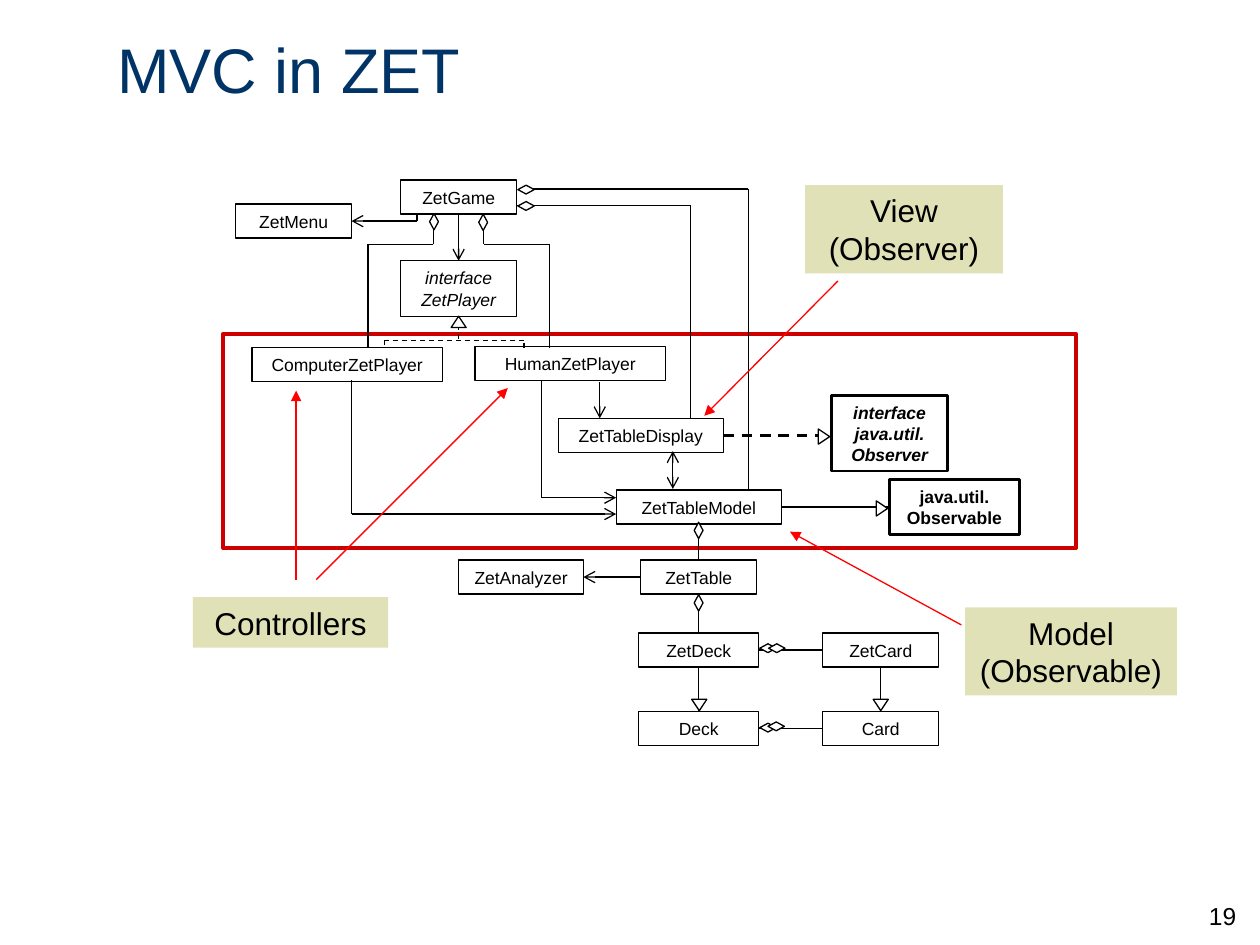
from pptx import Presentation
from pptx.dml.color import RGBColor
from pptx.enum.dml import MSO_LINE
from pptx.enum.shapes import MSO_CONNECTOR, MSO_SHAPE
from pptx.enum.text import MSO_ANCHOR, PP_ALIGN
from pptx.oxml.ns import qn
from pptx.util import Inches, Pt
from lxml import etree

STRAIGHT = MSO_CONNECTOR.STRAIGHT
RECTANGLE, DIAMOND, TRIANGLE = MSO_SHAPE.RECTANGLE, MSO_SHAPE.DIAMOND, MSO_SHAPE.ISOSCELES_TRIANGLE
LEFT, CENTER, RIGHT = PP_ALIGN.LEFT, PP_ALIGN.CENTER, PP_ALIGN.RIGHT
TOP, MIDDLE = MSO_ANCHOR.TOP, MSO_ANCHOR.MIDDLE
DASH = MSO_LINE.DASH
# Connection sites of a rectangle
UP, WEST, DOWN, EAST = range(4)

# The page is a grid of 1000 columns by 750 rows; boxes are (column, row, columns, rows).
COLUMNS, ROWS = 1000, 750
BLACK, WHITE, NAVY = "000000", "FFFFFF", "003366"
CRIMSON, RED, SAND = "CC0000", "FF0000", "E1E1B7"

# Class boxes, counted from the corner of the diagram
CLASSES = {
    "ZetGame": (141, 0, 92, 27),
    "ZetMenu": (10, 19, 92, 27),
    "ZetPlayer": (141, 64, 92, 44),
    "ComputerZetPlayer": (23, 133, 151, 27),
    "HumanZetPlayer": (200, 132, 151, 27),
    "ZetTableDisplay": (266, 189, 131, 27),
    "ZetTableModel": (312, 246, 131, 27),
    "ZetTable": (331.5, 301.5, 92, 27),
    "ZetAnalyzer": (187, 301.5, 99, 27),
    "ZetDeck": (330, 359.5, 95, 27),
    "ZetCard": (476, 359.5, 92, 27),
    "Deck": (330, 421.5, 95, 27),
    "Card": (476, 421.5, 92, 27),
    "Observer": (483, 171, 92, 60),
    "Observable": (529, 237.5, 103, 44),
}
# Names that need more than one line or a special style
LABELS = {
    "ZetPlayer": ("interface\nZetPlayer", {"italic": True}),
    "Observer": ("interface\njava.util.\nObserver", {"italic": True, "bold": True}),
    "Observable": ("java.util.\nObservable", {"bold": True}),
}
# Each route is a list of points; a point is (column, row) or (class, side).
ROUTES = [
    ([(154, 27), (154, 32.5), ("ZetMenu", EAST)], {"tail": "arrow"}),
    ([("ZetGame", DOWN), ("ZetPlayer", UP)], {"tail": "arrow"}),
    ([("ZetPlayer", DOWN), (187, 127)], {"dash": DASH}),
    ([(239, 133), (239, 127), (128, 127), (128, 133)], {"dash": DASH}),
    ([(167, 32), (167, 51), (115, 51), (115, 133)], {}),
    ([(207, 32), (207, 51), (259, 51), (259, 133)], {}),
    ([(239, 7), (417, 7), (417, 246)], {}),
    ([(233, 20), (371, 20), (371, 189)], {}),
    ([(299, 160), (299, 189)], {"tail": "arrow"}),
    ([(357, 215), (357, 245)], {"head": "arrow", "tail": "arrow"}),
    ([(253, 159), (253, 252), (312, 252)], {"tail": "arrow"}),
    ([(102, 159), (102, 265), (312, 265)], {"tail": "arrow"}),
    ([("ZetTable", WEST), ("ZetAnalyzer", EAST)], {"tail": "arrow"}),
    ([("ZetTableModel", DOWN), ("ZetTable", UP)], {}),
    ([("ZetTable", DOWN), ("ZetDeck", UP)], {}),
    ([("ZetDeck", DOWN), ("Deck", UP)], {}),
    ([("ZetCard", DOWN), ("Card", UP)], {}),
    ([("ZetCard", WEST), ("ZetDeck", EAST)], {}),
    ([("Card", WEST), ("Deck", EAST)], {}),
    ([("ZetTableDisplay", EAST), (476, 202.5)], {"dash": DASH, "weight": 1.5}),
    ([("ZetTableModel", EAST), ("Observable", WEST)], {"weight": 1.5}),
]
# Centre and turn of each end mark
DIAMONDS = [(167.5, 33, 0), (206.5, 33.5, 0), (377.5, 278, 0), (377.5, 335.5, 0),
            (240.5, 7.5, 90), (240.5, 20.5, 90), (432.5, 371.5, 90),
            (439.5, 371.5, 90), (432.5, 434.5, 90), (439, 433.5, 90)]
TRIANGLES = [(187, 112.5, 0), (378, 416.5, 180), (522, 416.5, 180),
             (477, 203.5, 90), (523, 260.5, 90)]


deck = Presentation()
deck.slide_width, deck.slide_height = Inches(10), Inches(7.5)


def color(code):
    return RGBColor.from_string(code)


def across(columns):
    return round(deck.slide_width * columns / COLUMNS)


def down(rows):
    return round(deck.slide_height * rows / ROWS)


def place(box):
    left, top, width, height = box
    return across(left), down(top), across(width), down(height)


def shift(box, origin):
    return (box[0] + origin[0], box[1] + origin[1], *box[2:])


def write(shape, text, size, ink=BLACK, align=CENTER, anchor=MIDDLE, bold=False, italic=False):
    """Fill a shape with one paragraph per line of text."""
    frame = shape.text_frame
    frame.word_wrap = True
    frame.vertical_anchor = anchor
    frame.text = text
    for para in frame.paragraphs:
        para.alignment = align
        font = para.font
        font.name, font.size = "Arial", Pt(size)
        font.bold, font.italic = bold, italic
        font.color.rgb = color(ink)


def add_block(page, box, kind=RECTANGLE, fill=None, line=None, weight=0.75, turn=0):
    block = page.shapes.add_shape(kind, *place(box))
    block.shadow.inherit = False
    block.rotation = turn
    if fill:
        block.fill.solid()
        block.fill.fore_color.rgb = color(fill)
    else:
        block.fill.background()
    if line:
        block.line.color.rgb = color(line)
        block.line.width = Pt(weight)
    else:
        block.line.fill.background()
    return block


def add_line(page, start, end, ink=BLACK, weight=0.75, dash=None, head=None, tail=None):
    line = page.shapes.add_connector(
        STRAIGHT, across(start[0]), down(start[1]), across(end[0]), down(end[1]))
    line.line.color.rgb = color(ink)
    line.line.width = Pt(weight)
    if dash:
        line.line.dash_style = dash
    outline = line.line._get_or_add_ln()
    for tag, kind in (("a:headEnd", head), ("a:tailEnd", tail)):
        if kind:
            etree.SubElement(outline, qn(tag), type=kind)
    etree.SubElement(line._element.spPr, qn("a:effectLst"))
    return line


def add_route(page, origin, points, blocks, head=None, tail=None, **style):
    """Draw a bent line, joined to a class box where a point names one."""
    def locate(point):
        if point[0] not in CLASSES:
            return shift(point, origin)
        name, side = point
        left, top, width, height = CLASSES[name]
        step_x, step_y = ((0.5, 0), (0, 0.5), (0.5, 1), (1, 0.5))[side]
        return shift((left + width * step_x, top + height * step_y), origin)

    last = len(points) - 2
    for index, (start, end) in enumerate(zip(points, points[1:])):
        line = add_line(page, locate(start), locate(end), head=head if index == 0 else None,
                        tail=tail if index == last else None, **style)
        if start[0] in blocks:
            line.begin_connect(blocks[start[0]], start[1])
        if end[0] in blocks:
            line.end_connect(blocks[end[0]], end[1])


def add_class_diagram(page, origin):
    add_block(page, shift((0, 122, 677, 170), origin), line=CRIMSON, weight=2.25)
    blocks = {}
    for name, box in CLASSES.items():
        text, style = LABELS.get(name, (name, {}))
        weight = 1.5 if style.get("bold") else 0.75
        blocks[name] = add_block(page, shift(box, origin), line=BLACK, weight=weight)
        write(blocks[name], text, 10, **style)
    for points, style in ROUTES:
        add_route(page, origin, points, blocks, **style)
    for kind, marks, width, height in ((DIAMOND, DIAMONDS, 7, 13), (TRIANGLE, TRIANGLES, 12, 9)):
        for x, y, turn in marks:
            box = shift((x - width / 2, y - height / 2, width, height), origin)
            add_block(page, box, kind, fill=WHITE, line=BLACK, turn=turn)


def add_callout(page, box, text, arrows):
    """Add a role label with red arrows, whose ends count from its corner."""
    write(add_block(page, box, fill=SAND), text, 18)
    for start, end in arrows:
        add_line(page, shift(start, box), shift(end, box), ink=RED, tail="triangle")


def add_title(page, box, text):
    title = page.shapes.title
    title.left, title.top, title.width, title.height = place(box)
    write(title, text, 36, ink=NAVY, align=LEFT)


def add_page_number(page, box, text):
    write(page.shapes.add_textbox(*place(box)), text, 14, align=RIGHT, anchor=TOP)


page = deck.slides.add_slide(deck.slide_layouts[5])
add_title(page, (83, 17, 850, 75), "MVC in ZET")
add_class_diagram(page, (177, 143))
add_callout(page, (153, 474, 155, 40), "Controllers",
            [((98, -14), (250, -166)), ((82, -14), (82, -164))])
add_callout(page, (639, 147, 157, 70), "View (Observer)", [((26, 76), (-80, 183))])
add_callout(page, (766, 482, 168, 70), "Model (Observable)", [((-3, 14), (-139, -60))])
add_page_number(page, (783, 710, 208, 50), "19")
deck.save("out.pptx")
